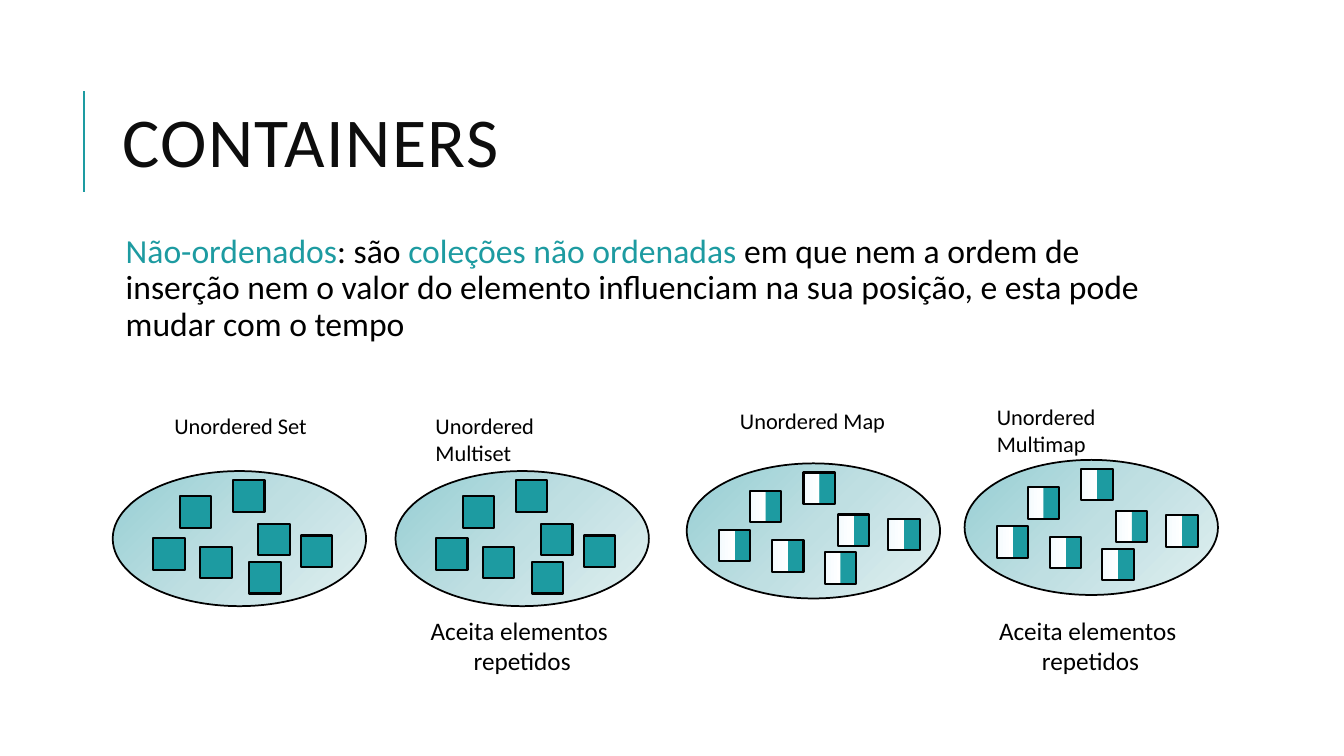
from lxml import etree
from pptx import Presentation
from pptx.dml.color import RGBColor
from pptx.enum.shapes import MSO_CONNECTOR, MSO_SHAPE
from pptx.enum.text import MSO_ANCHOR, PP_ALIGN
from pptx.oxml import parse_xml
from pptx.oxml.ns import nsdecls, qn
from pptx.util import Pt

OVAL, RECTANGLE = MSO_SHAPE.OVAL, MSO_SHAPE.RECTANGLE
STRAIGHT = MSO_CONNECTOR.STRAIGHT
TOP, MIDDLE = MSO_ANCHOR.TOP, MSO_ANCHOR.MIDDLE
LEFT, CENTER = PP_ALIGN.LEFT, PP_ALIGN.CENTER

COLORS = {
    "teal": "1D9BA1", "black": "000000", "title": "0D0D0D",
    "oval_dark": "95CED3", "oval_mid": "BFDFE2", "oval_light": "E0EFF0",
    "key_tint": "F4FBFE", "white": "FFFFFF",
}
RADIAL = '<a:path path="circle"><a:fillToRect r="100000" b="100000"/></a:path>'
ACROSS = '<a:lin ang="0" scaled="0"/>'
OVAL_FILL = (RADIAL, [(0, "oval_dark"), (50, "oval_mid"), (100, "oval_light")])
PAIR_FILL = (ACROSS, [(0, "key_tint"), (50, "white"), (51, "teal"), (100, "teal")])


def add_text(text, left, top, width, height, size=16, color="black",
             align=LEFT, anchor=TOP, wrap=True, line_spacing=None, inset=None):
    """Text is a string or a list of (string, color name) runs."""
    box = slide.shapes.add_textbox(Pt(left), Pt(top), Pt(width), Pt(height))
    frame = box.text_frame
    frame.word_wrap = wrap
    frame.vertical_anchor = anchor
    if inset is not None:
        frame.margin_left = frame.margin_right = Pt(inset)
        frame.margin_top = frame.margin_bottom = Pt(inset)
    paragraph = frame.paragraphs[0]
    paragraph.alignment = align
    paragraph.line_spacing = line_spacing
    for words, name in [(text, color)] if isinstance(text, str) else text:
        for index, line in enumerate(words.split("\n")):
            if index:
                paragraph.add_line_break()
            run = paragraph.add_run()
            run.text = line
            run.font.name = "Calibri"
            run.font.size = Pt(size)
            run.font.color.rgb = RGBColor.from_string(COLORS[name])
    return paragraph


def add_outlined(group, kind, left, top, width, height, fill, line_width):
    """Fill is a color name or a (direction, stops) gradient."""
    shape = group.shapes.add_shape(kind, Pt(left), Pt(top), Pt(width), Pt(height))
    shape.shadow.inherit = False
    shape.line.color.rgb = RGBColor.from_string(COLORS["black"])
    shape.line.width = Pt(line_width)
    if isinstance(fill, str):
        shape.fill.solid()
        shape.fill.fore_color.rgb = RGBColor.from_string(COLORS[fill])
        return
    direction, stops = fill
    stop_xml = "".join(
        f'<a:gs pos="{position * 1000}"><a:srgbClr val="{COLORS[name]}"/></a:gs>'
        for position, name in stops)
    shape.fill.background()
    properties = shape.element.spPr
    properties.replace(properties.find(qn("a:noFill")), parse_xml(
        f'<a:gradFill {nsdecls("a")} rotWithShape="1">'
        f'<a:gsLst>{stop_xml}</a:gsLst>{direction}</a:gradFill>'))


presentation = Presentation()
presentation.slide_width, presentation.slide_height = Pt(960), Pt(540)
slide = presentation.slides.add_slide(presentation.slide_layouts[6])

# Title with its accent line
accent = slide.shapes.add_connector(STRAIGHT, Pt(60), Pt(137), Pt(60), Pt(65))
accent.line.color.rgb = RGBColor.from_string(COLORS["teal"])
accent.line.width = Pt(1.5)
etree.SubElement(accent.element.spPr, qn("a:effectLst"))
title = add_text("CONTAINERS", 80.5, 46, 765.5, 118, size=50, color="title",
                 anchor=MIDDLE, line_spacing=0.8)
title.runs[0].font.element.set("spc", "100") if hasattr(
    title.runs[0].font, "element") else title.runs[0]._r.get_or_add_rPr().set("spc", "100")

# Definition
definition = add_text(
    [("Não-ordenados", "teal"), (": são ", "black"),
     ("coleções não ordenadas", "teal"),
     (" em que nem a ordem de inserção nem o valor do elemento influenciam "
      "na sua posição, e esta pode mudar com o tempo", "black")],
    79, 164, 765.5, 332, size=24, line_spacing=0.9, inset=3.6)
definition._p.get_or_add_pPr().set("marL", str(Pt(7.2)))

# Notes under the containers that take repeated elements
for note_left in (299.5, 705.5):
    add_text("Aceita elementos \nrepetidos", note_left, 436, 147, 51,
             size=18, align=CENTER, wrap=False)

# Containers: label, its place and width, oval corner, elements
SQUARE = 22.5
VALUES = [(86, 6.5), (48, 18), (29, 48), (104, 37.5), (62.5, 54), (97.5, 65), (134.5, 46)]
PAIRS = [(83.5, 6.5), (45, 19.5), (23, 47.5), (108, 36.5), (61, 55), (98.5, 63.5), (144, 39.5)]
containers = [
    ("Unordered Set", 117.5, 291, 112, 80.5, 336.5, VALUES, "teal"),
    ("Unordered Multiset", 304, 291, 137.5, 282.5, 336.5, VALUES, "teal"),
    ("Unordered Map", 521.5, 287.5, 122, 490.5, 331, PAIRS, PAIR_FILL),
    ("Unordered Multimap", 705, 284.5, 148.5, 689, 328.5, PAIRS, PAIR_FILL),
]
for label, label_left, label_top, label_width, left, top, offsets, fill in containers:
    add_text(label, label_left, label_top, label_width, 26.5)
    group = slide.shapes.add_group_shape()
    add_outlined(group, OVAL, left, top, 181, 96.5, OVAL_FILL, 1.25)
    for across, down in offsets:
        add_outlined(group, RECTANGLE, left + across, top + down,
                     SQUARE, SQUARE, fill, 1.5)

presentation.save("out.pptx")
